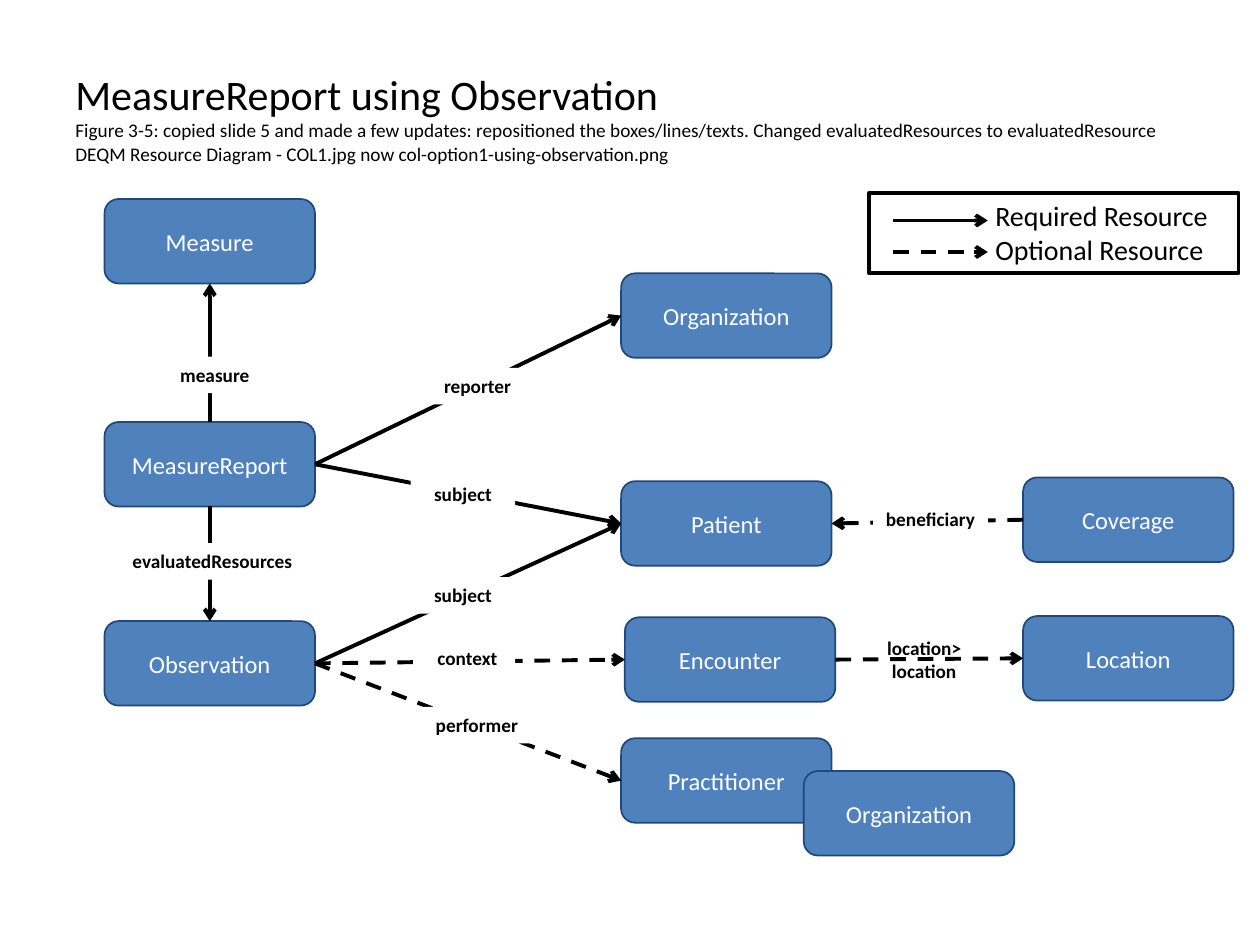
import pptx
import pptx.util
import pptx.dml.color
import pptx.enum.dml
import pptx.enum.shapes
import pptx.enum.text
import pptx.oxml.ns
import lxml.etree

Inch = pptx.util.Inches
Kind = pptx.enum.shapes.MSO_SHAPE
Anchor = pptx.enum.text.MSO_ANCHOR
Align = pptx.enum.text.PP_ALIGN
Auto = pptx.enum.text.MSO_AUTO_SIZE

HUES = {"box": "4F81BD", "edge": "1F497D", "ink": "000000", "page": "FFFFFF"}
FONTS = {
    "title": {"size": 24, "color": "ink"},
    "note": {"size": 11, "color": "ink"},
    "box": {"size": 14, "color": "page"},
    "label": {"size": 11, "color": "ink", "bold": True},
    "key": {"size": 16, "color": "ink"},
}
TITLE = [
    ("MeasureReport using Observation", "title"),
    ("Figure 3-5: copied slide 5 and made a few updates: repositioned the boxes/lines/texts. "
     "Changed evaluatedResources to evaluatedResource", "note"),
    ("DEQM Resource Diagram - COL1.jpg now col-option1-using-observation.png", "note"),
]
COLS = {"left": 0.83, "mid": 4.93, "right": 8.12}
SIZE = (1.67, 0.67)
BOXES = {
    "measure": ("Measure", COLS["left"], 1.58),
    "report": ("MeasureReport", COLS["left"], 3.35),
    "observe": ("Observation", COLS["left"], 4.93),
    "org": ("Organization", COLS["mid"], 2.17),
    "patient": ("Patient", COLS["mid"], 3.82),
    "doctor": ("Practitioner", COLS["mid"], 5.86),
    "visit": ("Encounter", 4.96, 4.9),
    "place": ("Location", COLS["right"], 4.89),
    "cover": ("Coverage", COLS["right"], 3.79),
    "group": ("Organization", 6.38, 6.12),
}
SIDES = {"top": 0, "left": 1, "bottom": 2, "right": 3}
LINKS = [
    ("report", "top", "measure", "bottom", False),
    ("report", "bottom", "observe", "top", False),
    ("report", "right", "org", "left", False),
    ("report", "right", "patient", "left", False),
    ("observe", "right", "patient", "left", False),
    ("observe", "right", "visit", "left", True),
    ("observe", "right", "doctor", "left", True),
    ("cover", "left", "patient", "right", True),
]
LAST = ("visit", "right", "place", "left", True)
ROW = 0.29
LABELS = [
    (["measure"], 1.08, 2.83, 1.25),
    (["reporter"], 3.13, 2.92, 1.32),
    (["evaluatedResources"], 0.79, 4.31, 1.79),
    (["subject"], 3.26, 3.78, 0.83),
    (["subject"], 3.26, 4.58, 0.83),
    (["performer"], 3.16, 5.61, 1.25),
    (["context"], 3.33, 5.08, 0.76),
    (["location>", "location"], 6.9, 5, 0.87),
    (["beneficiary"], 6.93, 3.98, 0.91),
]
KEYS = [("Required Resource", False), ("Optional Resource", True)]

deck = pptx.Presentation()
deck.slide_width, deck.slide_height = Inch(10), Inch(7.5)
slide = deck.slides.add_slide(deck.slide_layouts[6])
shapes = slide.shapes


def hue(name):
    return pptx.dml.color.RGBColor.from_string(HUES[name])


def write(shape, lines, align, **frame):
    text = shape.text_frame
    for name, value in {"word_wrap": True, **frame}.items():
        setattr(text, name, value)
    for i, (words, style) in enumerate(lines):
        para = text.paragraphs[0] if i == 0 else text.add_paragraph()
        para.alignment = align
        run = para.add_run()
        run.text = words
        look = dict(FONTS[style])
        run.font.color.rgb = hue(look.pop("color"))
        look.update(name="Calibri", size=pptx.util.Pt(look["size"]))
        for name, value in look.items():
            setattr(run.font, name, value)


def block(kind, area, fill=None, edge=None, width=1):
    shape = shapes.add_shape(kind, *map(Inch, area))
    shape.shadow.inherit = False
    if fill:
        shape.fill.solid()
        shape.fill.fore_color.rgb = hue(fill)
    else:
        shape.fill.background()
    if edge:
        shape.line.color.rgb = hue(edge)
        shape.line.width = pptx.util.Pt(width)
    else:
        shape.line.fill.background()
    return shape


def arrow(ends, dash):
    line = shapes.add_connector(pptx.enum.shapes.MSO_CONNECTOR.STRAIGHT, *map(Inch, ends))
    line.line.color.rgb = hue("ink")
    line.line.width = pptx.util.Pt(2.25)
    if dash:
        line.line.dash_style = pptx.enum.dml.MSO_LINE.DASH
    tag = pptx.oxml.ns.qn
    tail = lxml.etree.SubElement(line.line._get_or_add_ln(), tag("a:tailEnd"))
    tail.set("type", "arrow")
    lxml.etree.SubElement(line._element.spPr, tag("a:effectLst"))
    return line


def link(start, side, end, face, dash):
    line = arrow((0, 0, 1, 1), dash)
    line.begin_connect(boxes[start], SIDES[side])
    line.end_connect(boxes[end], SIDES[face])


head = shapes.add_textbox(*map(Inch, (0.5, 0.3, 9, 1.25)))
write(head, TITLE, Align.LEFT, vertical_anchor=Anchor.MIDDLE)

boxes = {}
for key, (name, x, y) in BOXES.items():
    boxes[key] = block(Kind.FLOWCHART_ALTERNATE_PROCESS, (x, y, *SIZE), "box", "edge")
    write(boxes[key], [(name, "box")], Align.CENTER, vertical_anchor=Anchor.MIDDLE)

for item in LINKS:
    link(*item)

for lines, x, y, wide in LABELS:
    tall = ROW + 0.18 * (len(lines) - 1)
    shape = block(Kind.RECTANGLE, (x, y, wide, tall), "page")
    write(shape, [(words, "label") for words in lines], Align.CENTER,
          vertical_anchor=Anchor.TOP, auto_size=Auto.SHAPE_TO_FIT_TEXT)
link(*LAST)

legend = block(Kind.RECTANGLE, (6.9, 1.53, 2.93, 0.64), None, "ink", 2.25)
write(legend, [(words, "key") for words, dash in KEYS], Align.LEFT,
      vertical_anchor=Anchor.TOP, auto_size=Auto.SHAPE_TO_FIT_TEXT, margin_left=Inch(1))
for i, (words, dash) in enumerate(KEYS):
    y = 1.75 + 0.25 * i
    arrow((7.09, y, 7.84, y), dash)

deck.save("out.pptx")
